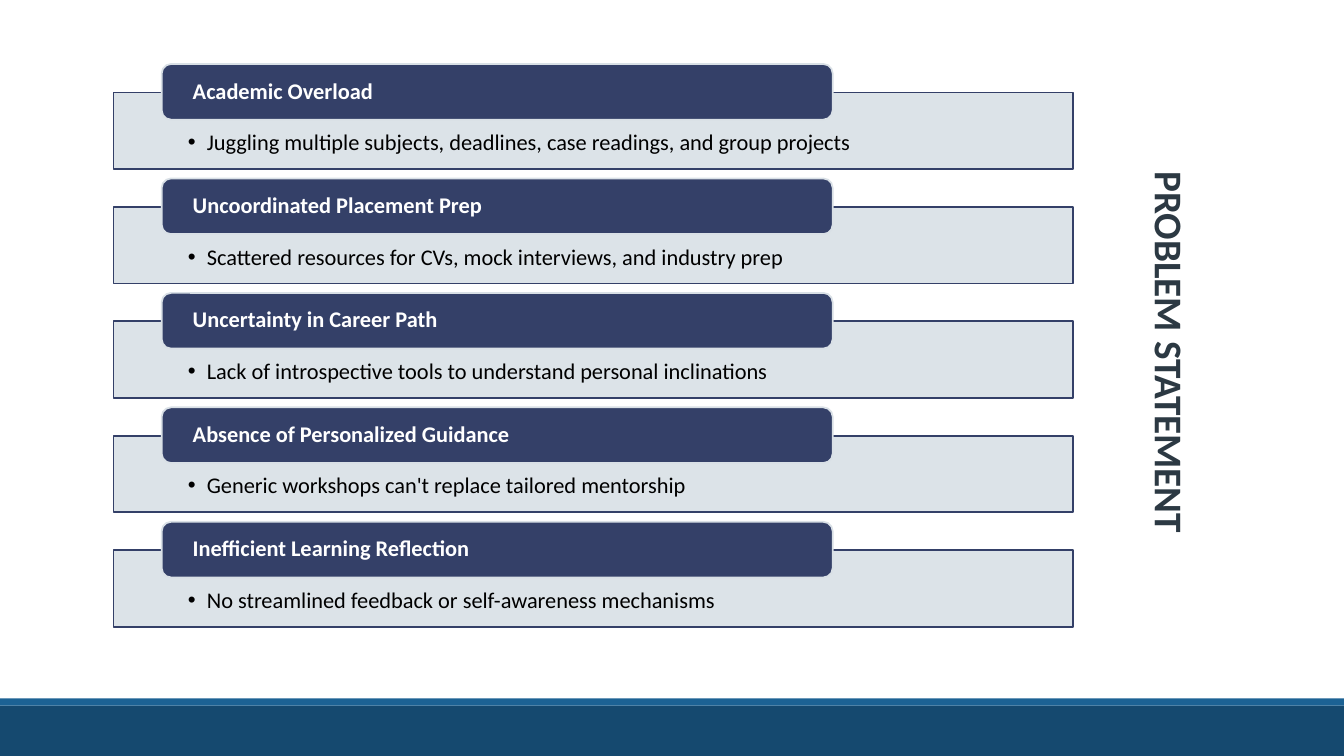
"""Build the problem statement slide with five labelled panels."""
from dataclasses import dataclass
from typing import Any, Optional

from lxml.etree import SubElement
from pptx import Presentation
from pptx.dml.color import RGBColor
from pptx.enum.shapes import MSO_SHAPE
from pptx.enum.text import MSO_ANCHOR, PP_ALIGN
from pptx.oxml.ns import qn
from pptx.shapes.autoshape import Shape
from pptx.slide import Slide
from pptx.util import Pt

SCALE = 9525


def px(size: int) -> int:
    return size * SCALE


@dataclass(frozen=True)
class Theme:
    font: str = "Calibri"
    navy: str = "344068"
    pale: str = "D9E0E6"
    band: str = "15496F"
    strip: str = "1C6294"
    title: str = "2C3943"
    white: str = "FFFFFF"
    black: str = "000000"
    body: int = 16
    head: int = 28
    edge: float = 1.25


@dataclass(frozen=True)
class Box:
    left: int
    top: int
    width: int
    height: int

    def down(self, step: int) -> "Box":
        return Box(self.left, self.top + step, self.width, self.height)

    def emu(self) -> list[int]:
        return [px(n) for n in (self.left, self.top, self.width, self.height)]


@dataclass(frozen=True)
class Issue:
    label: str
    detail: str


THEME = Theme()
WIDTH, HEIGHT = 1280, 720
PITCH = 109
PANEL = Box(108, 88, 914, 73)
TAB = Box(154, 61, 639, 53)
TITLE = Box(853, 308, 523, 55)
BANDS = (
    (Box(0, 672, WIDTH, 48), THEME.band),
    (Box(0, 665, WIDTH, 7), THEME.strip),
)
ISSUES = (
    Issue("Academic Overload",
          "Juggling multiple subjects, deadlines, case readings, and group projects"),
    Issue("Uncoordinated Placement Prep",
          "Scattered resources for CVs, mock interviews, and industry prep"),
    Issue("Uncertainty in Career Path",
          "Lack of introspective tools to understand personal inclinations"),
    Issue("Absence of Personalized Guidance",
          "Generic workshops can't replace tailored mentorship"),
    Issue("Inefficient Learning Reflection",
          "No streamlined feedback or self-awareness mechanisms"),
)


def apply(target: Any, values: dict[str, Any]) -> None:
    for name, value in values.items():
        setattr(target, name, value)


def draw(slide: Slide, kind: MSO_SHAPE, box: Box, fill: str,
         line: Optional[str] = None) -> Shape:
    shape = slide.shapes.add_shape(kind, *box.emu())
    shape.shadow.inherit = False
    shape.fill.solid()
    shape.fill.fore_color.rgb = RGBColor.from_string(fill)
    if line:
        shape.line.color.rgb = RGBColor.from_string(line)
        shape.line.width = Pt(THEME.edge)
    else:
        shape.line.fill.background()
    return shape


def write(shape: Shape, text: str, color: str, size: int, bold: bool,
          frame: dict[str, Any], para: dict[str, Any]) -> None:
    apply(shape.text_frame, {"word_wrap": True, **frame})
    first = shape.text_frame.paragraphs[0]
    apply(first, para)
    run = first.add_run()
    run.text = text
    apply(run.font, {"name": THEME.font, "size": Pt(size), "bold": bold})
    run.font.color.rgb = RGBColor.from_string(color)


def bullet(shape: Shape, indent: int) -> None:
    props = shape.text_frame.paragraphs[0]._p.get_or_add_pPr()
    props.set("marL", str(px(indent)))
    props.set("indent", str(-px(indent)))
    SubElement(props, qn("a:buFont"), typeface="Arial")
    SubElement(props, qn("a:buChar"), char="•")


def fade(shape: Shape, share: int) -> None:
    color = shape.fill._xPr.find(qn("a:solidFill"))[0]
    SubElement(color, qn("a:alpha"), val=str(share * 1000))


def add_issue(slide: Slide, issue: Issue, step: int) -> None:
    para = {"alignment": PP_ALIGN.LEFT, "line_spacing": 0.9}
    panel = draw(slide, MSO_SHAPE.RECTANGLE, PANEL.down(step), THEME.pale, THEME.navy)
    fade(panel, 90)
    bullet(panel, 18)
    write(panel, issue.detail, THEME.black, THEME.body, False,
          {"margin_left": px(71), "margin_right": px(71), "margin_top": px(37),
           "margin_bottom": px(12), "vertical_anchor": MSO_ANCHOR.TOP},
          {**para, "level": 1})
    tab = draw(slide, MSO_SHAPE.ROUNDED_RECTANGLE, TAB.down(step), THEME.navy, THEME.pale)
    write(tab, issue.label, THEME.white, THEME.body, True,
          {"margin_left": px(27), "margin_right": px(27), "margin_top": 0,
           "margin_bottom": 0, "vertical_anchor": MSO_ANCHOR.MIDDLE}, para)


def add_title(slide: Slide, text: str) -> None:
    title = slide.shapes.title
    apply(title, dict(zip(("left", "top", "width", "height"), TITLE.emu())))
    title.rotation = 90
    write(title, text, THEME.title, THEME.head, True,
          {"vertical_anchor": MSO_ANCHOR.TOP}, {"alignment": PP_ALIGN.CENTER})


def main() -> None:
    deck = Presentation()
    apply(deck, {"slide_width": px(WIDTH), "slide_height": px(HEIGHT)})
    slide = deck.slides.add_slide(deck.slide_layouts[5])
    for box, color in BANDS:
        draw(slide, MSO_SHAPE.RECTANGLE, box, color)
    for row, issue in enumerate(ISSUES):
        add_issue(slide, issue, row * PITCH)
    add_title(slide, "PROBLEM STATEMENT")
    deck.save("out.pptx")


if __name__ == "__main__":
    main()
